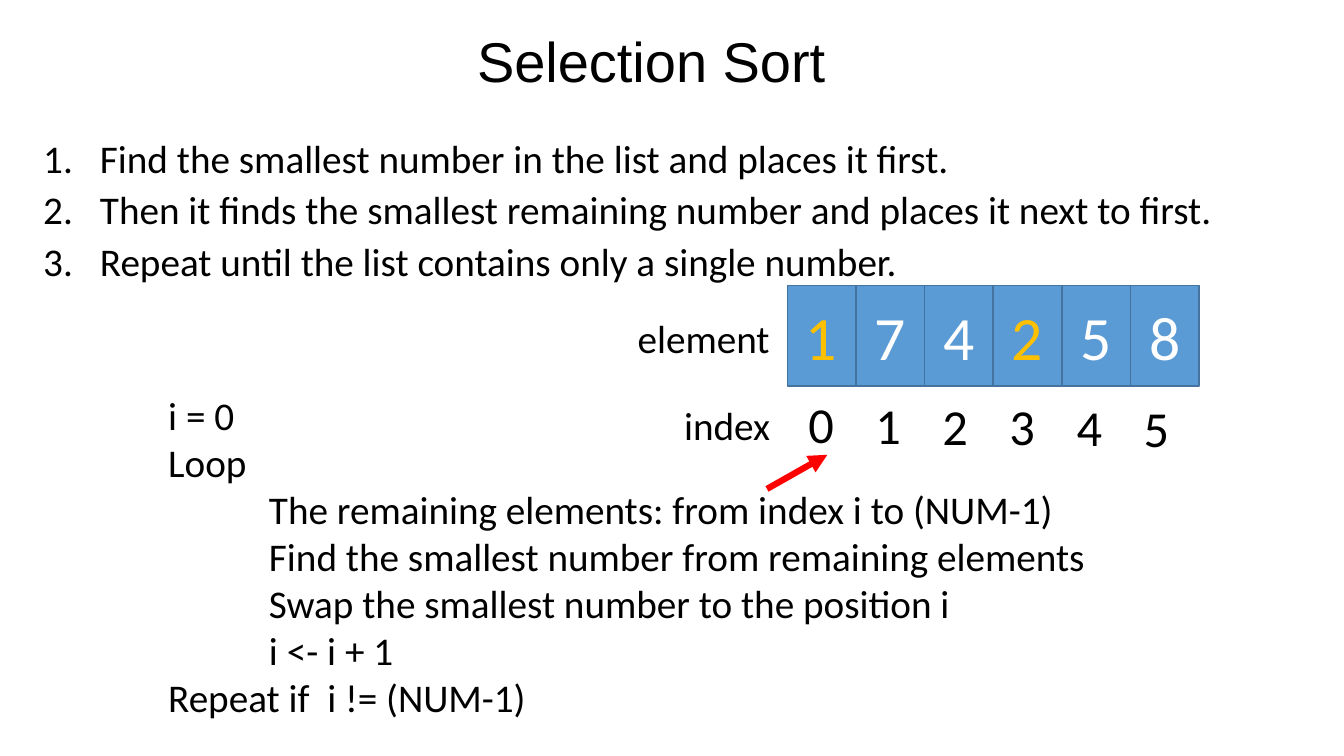
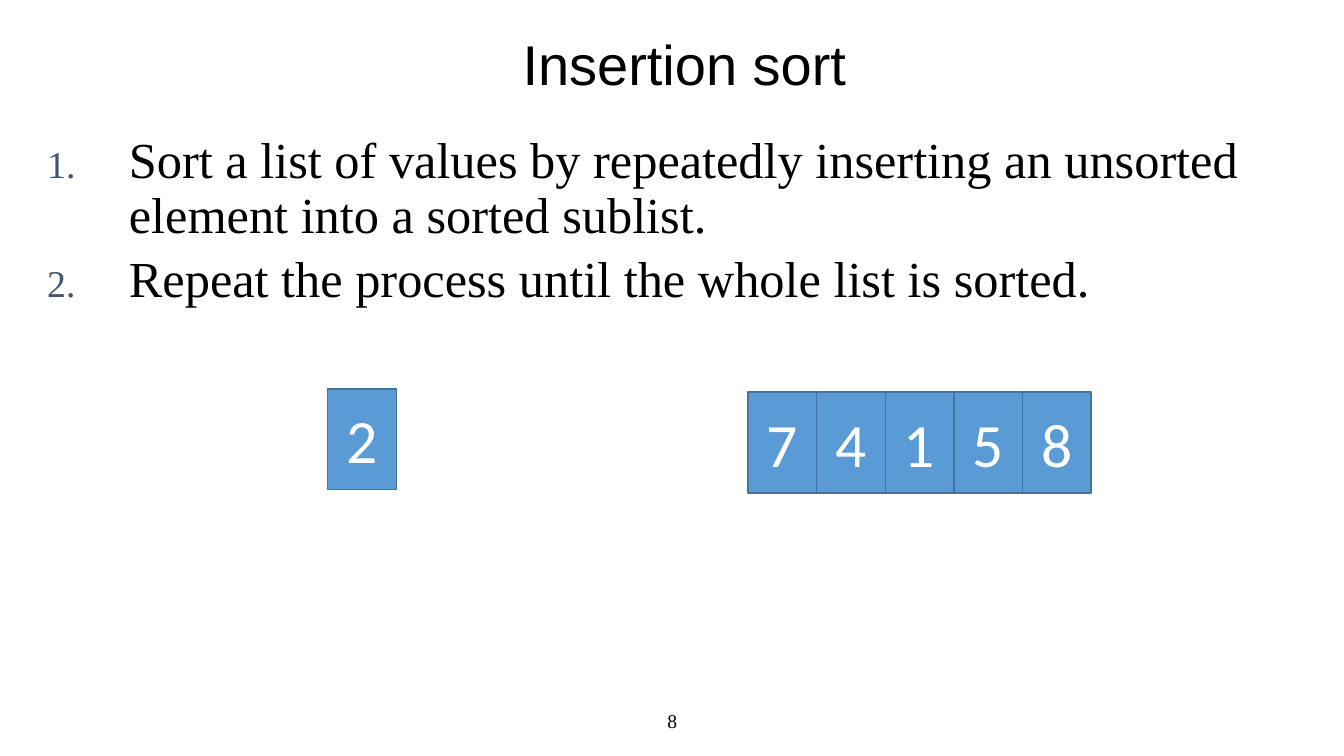
import pptx
import pptx.dml.color
import pptx.enum.shapes
import pptx.enum.text
import pptx.oxml
import pptx.oxml.ns
import pptx.util

Cm = pptx.util.Cm
Pt = pptx.util.Pt
RGBColor = pptx.dml.color.RGBColor
PP_ALIGN = pptx.enum.text.PP_ALIGN
MSO_ANCHOR = pptx.enum.text.MSO_ANCHOR
qn = pptx.oxml.ns.qn

BLACK = RGBColor(0x00, 0x00, 0x00)
WHITE = RGBColor(0xFF, 0xFF, 0xFF)
BLUE = RGBColor(0x5B, 0x9B, 0xD5)
DARK_BLUE = RGBColor(0x43, 0x73, 0x9E)
GOLD = RGBColor(0xFF, 0xC0, 0x00)
RED = RGBColor(0xFF, 0x00, 0x00)
NUMBER_COLOR = RGBColor(0x44, 0x54, 0x6A)

TITLE_STYLE = dict(font="Arial", size=40, align=PP_ALIGN.CENTER,
                   anchor=MSO_ANCHOR.MIDDLE, line_spacing=0.9)
CELL_WIDTH = 1.73
CELL_HEIGHT = 2.54


def add_text(slide, box, lines, font="Calibri", size=28, align=PP_ALIGN.LEFT,
             anchor=MSO_ANCHOR.TOP, line_spacing=None, space_before=None, wrap=True):
    text_frame = slide.shapes.add_textbox(*[Cm(length) for length in box]).text_frame
    text_frame.word_wrap = wrap
    text_frame.vertical_anchor = anchor
    text_frame.text = "\n".join(lines)
    for paragraph in text_frame.paragraphs:
        paragraph.alignment = align
        paragraph.line_spacing = line_spacing
        paragraph.space_before = space_before
        for run in paragraph.runs:
            run.font.name = font
            run.font.size = Pt(size)
            run.font.color.rgb = BLACK
    return text_frame.paragraphs


def add_cells(slide, left, top, values, highlighted=()):
    for position, value in enumerate(values):
        cell = slide.shapes.add_shape(
            pptx.enum.shapes.MSO_SHAPE.RECTANGLE,
            Cm(left + position * CELL_WIDTH), Cm(top), Cm(CELL_WIDTH), Cm(CELL_HEIGHT))
        cell.shadow.inherit = False
        cell.fill.solid()
        cell.fill.fore_color.rgb = BLUE
        cell.line.color.rgb = DARK_BLUE
        cell.line.width = Pt(1)
        cell.text_frame.text = str(value)
        cell.text_frame.vertical_anchor = MSO_ANCHOR.MIDDLE
        paragraph = cell.text_frame.paragraphs[0]
        paragraph.alignment = PP_ALIGN.CENTER
        font = paragraph.runs[0].font
        font.name = "Calibri"
        font.size = Pt(44)
        font.color.rgb = GOLD if value in highlighted else WHITE


presentation = pptx.Presentation()
presentation.slide_width = Cm(33.87)
presentation.slide_height = Cm(19.05)
blank_layout = presentation.slide_layouts[6]

selection_slide = presentation.slides.add_slide(blank_layout)
add_text(selection_slide, (4.88, 1.09, 23.06, 1.09), ["Selection Sort"], **TITLE_STYLE)
selection_steps = add_text(selection_slide, (0.84, 3.48, 30.56, 7.26), [
    "Find the smallest number in the list and places it first.",
    "Then it finds the smallest remaining number and places it next to first.",
    "Repeat until the list contains only a single number.",
], line_spacing=0.8, space_before=Pt(10))

pseudocode = add_text(selection_slide, (3.99, 9.73, 23.72, 8.64), [
    "i = 0",
    "Loop",
    "The remaining elements: from index i to (NUM-1)",
    "Find the smallest number from remaining elements",
    "Swap the smallest number to the position i",
    "i <- i + 1",
    "Repeat if  i != (NUM-1)",
])
for paragraph in pseudocode[2:6]:
    paragraph._p.get_or_add_pPr().set("marL", str(Cm(2.54)))

add_cells(selection_slide, 19.84, 7.19, [1, 7, 4, 2, 5, 8], highlighted=(1, 2))
for index in range(6):
    add_text(selection_slide, (20.12 + 1.69 * index, 9.78 + 0.02 * index, 1.17, 1.8),
             [str(index)], size=36, wrap=False)
add_text(selection_slide, (15.82, 7.8, 3.86, 1.45), ["element"], wrap=False)
add_text(selection_slide, (16.99, 9.98, 2.69, 1.45), ["index"], wrap=False)

arrow = selection_slide.shapes.add_connector(
    pptx.enum.shapes.MSO_CONNECTOR.STRAIGHT, Cm(19.33), Cm(12.32), Cm(20.85), Cm(11.46))
arrow.line.color.rgb = RED
arrow.line.width = Pt(4.5)
arrow_head = pptx.oxml.parse_xml(
    f'<a:tailEnd {pptx.oxml.ns.nsdecls("a")} type="triangle"/>')
arrow.line._get_or_add_ln().append(arrow_head)
arrow._element.spPr.append(
    pptx.oxml.parse_xml(f'<a:effectLst {pptx.oxml.ns.nsdecls("a")}/>'))

insertion_slide = presentation.slides.add_slide(blank_layout)
add_text(insertion_slide, (0.94, 0.84, 32.61, 1.7), ["Insertion sort"], **TITLE_STYLE)
insertion_steps = add_text(insertion_slide, (0.94, 3.28, 32.05, 7.04), [
    "Sort a list of values by repeatedly inserting an unsorted element into a sorted sublist.",
    "Repeat the process until the whole list is sorted.",
], font="Times New Roman", size=36, line_spacing=0.9, space_before=Pt(7))
add_cells(insertion_slide, 8.26, 9.8, [2])
add_cells(insertion_slide, 18.85, 9.88, [7, 4, 1, 5, 8])
add_text(insertion_slide, (11.23, 17.65, 11.43, 1.02), ["8"], font="Times New Roman",
         size=14, align=PP_ALIGN.CENTER, anchor=MSO_ANCHOR.MIDDLE)

for steps, indent, number_color, number_percent in (
    (selection_steps, 1.43, BLACK, 100),
    (insertion_steps, 2.06, NUMBER_COLOR, 75),
):
    for paragraph in steps:
        properties = paragraph._p.get_or_add_pPr()
        properties.set("marL", str(Cm(indent)))
        properties.set("indent", str(-Cm(indent)))
        color = properties.makeelement(qn("a:buClr"), {})
        color.append(color.makeelement(qn("a:srgbClr"), {"val": str(number_color)}))
        properties.append(color)
        for tag, attributes in (
            ("a:buSzPct", {"val": str(number_percent * 1000)}),
            ("a:buFont", {"typeface": paragraph.runs[0].font.name}),
            ("a:buAutoNum", {"type": "arabicPeriod"}),
        ):
            properties.append(properties.makeelement(qn(tag), attributes))

presentation.save("out.pptx")
